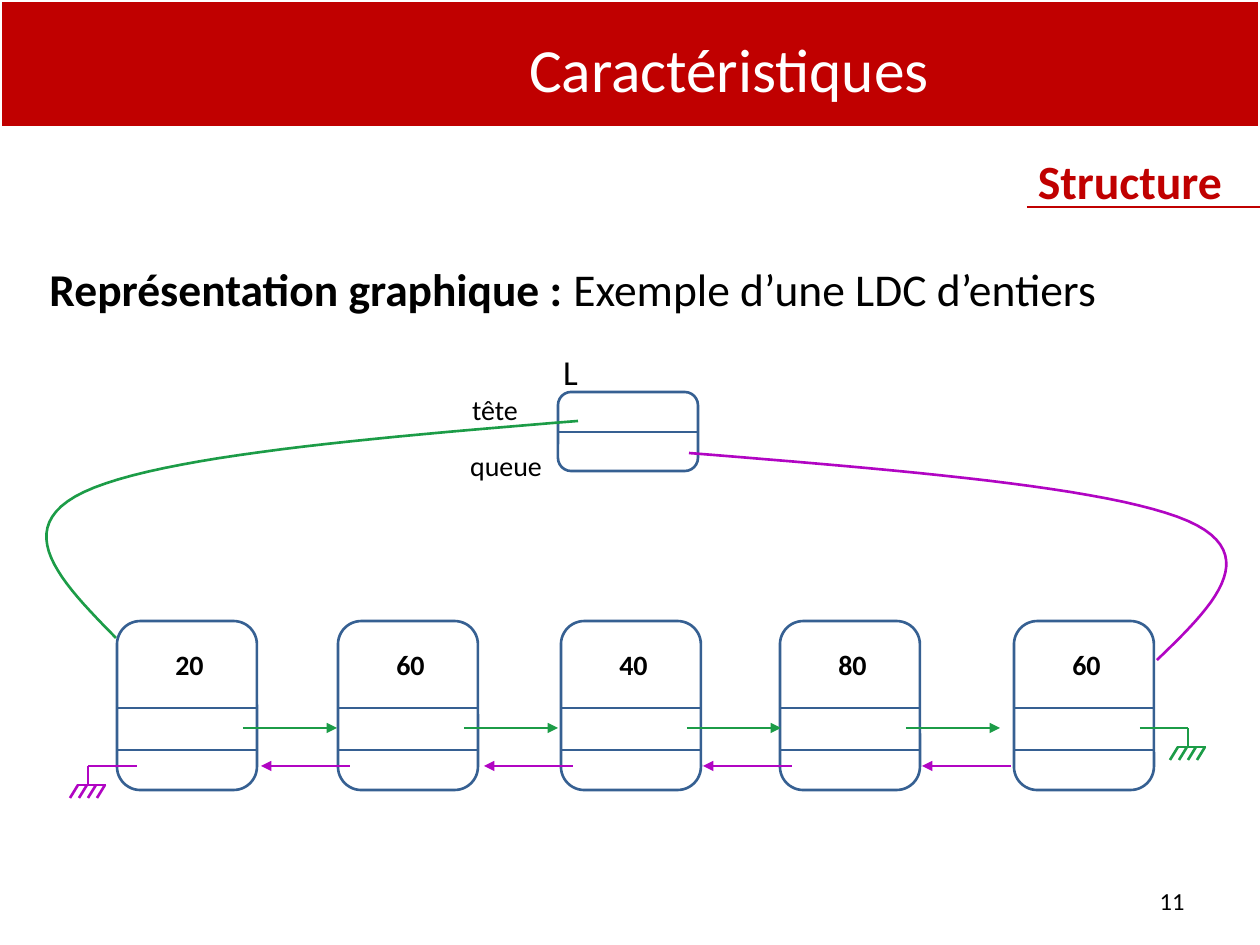
from dataclasses import dataclass

from lxml import etree
from pptx import Presentation
from pptx.dml.color import RGBColor
from pptx.enum.shapes import MSO_CONNECTOR, MSO_SHAPE
from pptx.enum.text import MSO_ANCHOR, MSO_AUTO_SIZE, PP_ALIGN
from pptx.oxml.ns import qn
from pptx.util import Emu, Pt

STRAIGHT = MSO_CONNECTOR.STRAIGHT
RECTANGLE, ROUNDED = MSO_SHAPE.RECTANGLE, MSO_SHAPE.ROUNDED_RECTANGLE
TOP, MIDDLE = MSO_ANCHOR.TOP, MSO_ANCHOR.MIDDLE
CENTER, RIGHT, JUSTIFY = PP_ALIGN.CENTER, PP_ALIGN.RIGHT, PP_ALIGN.JUSTIFY
NO_AUTOFIT = MSO_AUTO_SIZE.NONE

EMU_PER_PX = 914400 / 126
FONT = "Calibri"
COLORS = {
    "red": "C00000",
    "white": "FFFFFF",
    "black": "000000",
    "cell": "366092",
    "next": "1C9C47",
    "previous": "B105C3",
}
CELL_WIDTH, NODE_TOP, NODE_HEIGHT = 140, 621, 169
NEXT_Y, PREVIOUS_Y = 728, 766
CURVE_STEPS = 24


@dataclass
class Span:
    text: str
    size: float
    color: str = "black"
    bold: bool = False


@dataclass
class Label:
    left: int
    top: int
    width: int
    height: int
    spans: list[Span]
    align: PP_ALIGN = CENTER
    anchor: MSO_ANCHOR = TOP


@dataclass
class Node:
    left: int
    value: str
    previous_start: int = 12


LABELS = [
    Label(333, 137, 912, 87, [Span("Structure ", 27.3, "red", True)], RIGHT, MIDDLE),
    Label(423, 386, 144, 46, [Span("tête", 16)]),
    Label(445, 442, 122, 46, [Span("queue", 16)]),
    Label(544, 344, 53, 55, [Span("L", 20)]),
    Label(903, 876, 294, 50, [Span("11", 14)], RIGHT, MIDDLE),
]
TITLE = Label(273, 24, 912, 87, [Span("Caractéristiques", 35.1, "white")], CENTER, MIDDLE)
CAPTION = Label(
    35, 255, 1181, 645,
    [Span("Représentation graphique : ", 26, bold=True),
     Span("Exemple d’une LDC d’entiers", 26)],
    JUSTIFY,
)
NODES = [
    Node(117, "20"),
    Node(338, "60"),
    Node(561, "40"),
    Node(780, "80"),
    Node(1014, "60", -3),
]
HEAD_CURVE = [(578, 421), (369, 438), (161, 456), (84, 492),
              (8, 528), (62, 583), (116, 638)]
TAIL_CURVE = [(689, 453), (899, 470), (1110, 487), (1188, 521),
              (1265, 555), (1211, 608), (1157, 660)]


def px(value: float) -> Emu:
    return Emu(round(value * EMU_PER_PX))


def rgb(name: str) -> RGBColor:
    return RGBColor.from_string(COLORS[name])


def write(box, label: Label):
    frame = box.text_frame
    frame.word_wrap = True
    frame.auto_size = NO_AUTOFIT
    frame.vertical_anchor = label.anchor
    para = frame.paragraphs[0]
    para.alignment = label.align
    for item in label.spans:
        span = para.add_run()
        span.text = item.text
        span.font.name = FONT
        span.font.size = Pt(item.size)
        span.font.bold = item.bold
        span.font.color.rgb = rgb(item.color)
    return para


def add_label(page, label: Label):
    box = page.shapes.add_textbox(
        px(label.left), px(label.top), px(label.width), px(label.height))
    return write(box, label)


def add_line(page, start: tuple, end: tuple, color: str, arrow: bool = False) -> None:
    line = page.shapes.add_connector(STRAIGHT, *map(px, start + end))
    line.line.color.rgb = rgb(color)
    line.line.width = Pt(1.5)
    if arrow:
        etree.SubElement(line.line._get_or_add_ln(), qn("a:tailEnd"), type="triangle")
    etree.SubElement(line._element.spPr, qn("a:effectLst"))


def add_cell(page, left: int, top: int, height: int, dividers: list[int]) -> None:
    """Draw a rounded record split by horizontal dividers."""
    cell = page.shapes.add_shape(
        ROUNDED, px(left), px(top), px(CELL_WIDTH), px(height))
    cell.shadow.inherit = False
    cell.fill.background()
    cell.line.color.rgb = rgb("cell")
    cell.line.width = Pt(1.5)
    for y in dividers:
        add_line(page, (left, y), (left + CELL_WIDTH, y), "cell")


def add_ground(page, start: tuple, corner_x: int, color: str) -> None:
    """Draw the null pointer: a bent wire ending in a hatched bar."""
    y = start[1]
    bar_y = y + 19
    add_line(page, start, (corner_x, y), color)
    add_line(page, (corner_x, y), (corner_x, bar_y), color)
    add_line(page, (corner_x - 11, bar_y), (corner_x + 18, bar_y), color)
    for hatch in range(4):
        x = corner_x - 10 + 9 * hatch
        add_line(page, (x, bar_y), (x - 8, bar_y + 13), color)


def add_curve(page, points: list[tuple], color: str) -> None:
    """Draw joined cubic Bézier segments as a fine polyline."""
    vertices = [points[0]]
    for first in range(0, len(points) - 1, 3):
        controls = points[first:first + 4]
        for step in range(1, CURVE_STEPS + 1):
            t = step / CURVE_STEPS
            weights = ((1 - t) ** 3, 3 * t * (1 - t) ** 2, 3 * t ** 2 * (1 - t), t ** 3)
            vertices.append(tuple(
                sum(w * point[axis] for w, point in zip(weights, controls))
                for axis in (0, 1)))
    vertices = [(px(x), px(y)) for x, y in vertices]
    builder = page.shapes.build_freeform(*vertices[0])
    builder.add_line_segments(vertices[1:], close=False)
    curve = builder.convert_to_shape()
    curve.shadow.inherit = False
    curve.fill.background()
    curve.line.color.rgb = rgb(color)
    curve.line.width = Pt(1.5)


def add_header(page) -> None:
    title = page.shapes.title
    title.left, title.top = px(TITLE.left), px(TITLE.top)
    title.width, title.height = px(TITLE.width), px(TITLE.height)
    write(title, TITLE)
    banner = page.shapes.add_shape(RECTANGLE, 0, 0, px(1260), px(128))
    banner.shadow.inherit = False
    banner.fill.solid()
    banner.fill.fore_color.rgb = rgb("red")
    banner.line.color.rgb = rgb("white")
    banner.line.width = Pt(2)
    title._element.addprevious(banner._element)
    add_line(page, (1027, 207), (1260, 207), "red")


def add_list(page) -> None:
    add_cell(page, 558, 392, 79, [432])
    for node in NODES:
        add_cell(page, node.left, NODE_TOP, NODE_HEIGHT, [708, 750])
        add_label(page, Label(node.left + 5, 641, 135, 46,
                              [Span(node.value, 16, bold=True)]))
    for node in NODES[:-1]:
        start = node.left + 126
        add_line(page, (start, NEXT_Y), (start + 94, NEXT_Y), "next", True)
    for node in NODES[1:]:
        start = node.left + node.previous_start
        add_line(page, (start, PREVIOUS_Y), (start - 89, PREVIOUS_Y), "previous", True)
    add_ground(page, (NODES[-1].left + 126, NEXT_Y), 1188, "next")
    add_ground(page, (NODES[0].left + 20, PREVIOUS_Y), 88, "previous")
    add_curve(page, HEAD_CURVE, "next")
    add_curve(page, TAIL_CURVE, "previous")


def main() -> None:
    deck = Presentation()
    deck.slide_width, deck.slide_height = px(1260), px(945)
    page = deck.slides.add_slide(deck.slide_layouts[5])
    add_header(page)
    caption = add_label(page, CAPTION)
    caption._p.get_or_add_pPr().set("marL", str(px(50)))
    caption._p.get_or_add_pPr().set("indent", str(px(-48)))
    add_list(page)
    for label in LABELS:
        add_label(page, label)
    deck.save("out.pptx")


if __name__ == "__main__":
    main()
